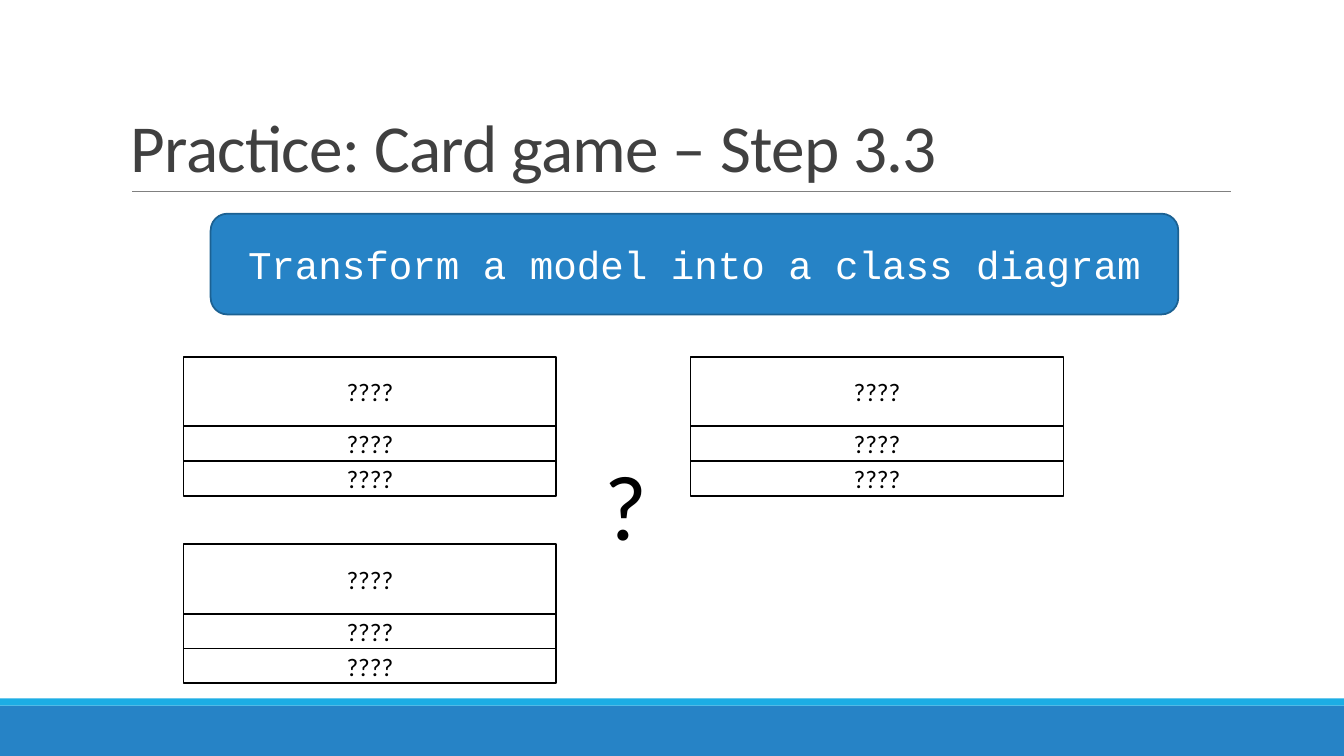
from pptx import Presentation
from pptx.dml.color import RGBColor
from pptx.enum.shapes import MSO_CONNECTOR, MSO_SHAPE
from pptx.enum.text import MSO_ANCHOR, PP_ALIGN
from pptx.oxml.ns import qn
from pptx.util import Inches, Pt
from lxml import etree

RECTANGLE = MSO_SHAPE.RECTANGLE
ROUNDED = MSO_SHAPE.ROUNDED_RECTANGLE
STRAIGHT = MSO_CONNECTOR.STRAIGHT
TOP, MIDDLE, BOTTOM = MSO_ANCHOR.TOP, MSO_ANCHOR.MIDDLE, MSO_ANCHOR.BOTTOM
LEFT, CENTER = PP_ALIGN.LEFT, PP_ALIGN.CENTER

BLACK = RGBColor(0x00, 0x00, 0x00)
WHITE = RGBColor(0xFF, 0xFF, 0xFF)
BLUE = RGBColor(0x26, 0x83, 0xC6)
DARK_BLUE = RGBColor(0x1C, 0x61, 0x92)
CYAN = RGBColor(0x1C, 0xAD, 0xE4)
CHARCOAL = RGBColor(0x40, 0x40, 0x40)
GRAY = RGBColor(0x80, 0x80, 0x80)

COLUMNS, ROWS = 40, 30


class SlideBuilder:
    body_font = "Calibri"
    code_font = "Courier New"
    outline_width = Pt(1.25)
    compartment_heights = (2.76, 1.38, 1.38)
    class_width = 11.1

    def __init__(self, presentation):
        self.slide = presentation.slides.add_slide(presentation.slide_layouts[6])
        self.column = presentation.slide_width / COLUMNS
        self.row = presentation.slide_height / ROWS

    def place(self, left, top, width, height):
        return (round(left * self.column), round(top * self.row),
                round(width * self.column), round(height * self.row))

    def label(self, shape, text, size, color, font=body_font,
              align=CENTER, anchor=MIDDLE, wrap=True):
        frame = shape.text_frame
        for name, value in {"word_wrap": wrap, "vertical_anchor": anchor}.items():
            setattr(frame, name, value)
        paragraph = frame.paragraphs[0]
        paragraph.alignment = align
        run = paragraph.add_run()
        run.text = text
        for name, value in {"name": font, "size": Pt(size)}.items():
            setattr(run.font, name, value)
        run.font.color.rgb = color
        return paragraph

    def box(self, area, fill, outline=None, kind=RECTANGLE):
        shape = self.slide.shapes.add_shape(kind, *self.place(*area))
        shape.shadow.inherit = False
        shape.fill.solid()
        shape.fill.fore_color.rgb = fill
        if outline is None:
            shape.line.fill.background()
        else:
            shape.line.color.rgb = outline
            shape.line.width = self.outline_width
        return shape

    def rule(self, left, right, top, color):
        start_x, y, length, _ = self.place(left, top, right - left, 0)
        connector = self.slide.shapes.add_connector(
            STRAIGHT, start_x, y, start_x + length, y)
        connector.line.color.rgb = color
        connector.line.width = Pt(0.5)
        etree.SubElement(connector._element.spPr, qn("a:effectLst"))

    def title(self, area, text):
        shape = self.slide.shapes.add_textbox(*self.place(*area))
        paragraph = self.label(shape, text, 48, CHARCOAL, align=LEFT, anchor=BOTTOM)
        paragraph.line_spacing = 0.85
        paragraph.runs[0].font._element.set("spc", "-50")

    def banner(self, area, text):
        shape = self.box(area, BLUE, DARK_BLUE, ROUNDED)
        self.label(shape, text, 28, WHITE, self.code_font)

    def class_box(self, left, top, texts):
        for text, height in zip(texts, self.compartment_heights):
            shape = self.box((left, top, self.class_width, height), WHITE, BLACK)
            self.label(shape, text, 18, BLACK)
            top += height

    def question(self, area, text):
        shape = self.box(area, WHITE)
        self.label(shape, text, 66, BLACK, align=LEFT, anchor=TOP, wrap=False)


def main():
    presentation = Presentation()
    presentation.slide_width = Inches(13.33)
    presentation.slide_height = Inches(7.5)

    builder = SlideBuilder(presentation)
    builder.box((0, 28, COLUMNS, 2), BLUE)
    builder.box((0, 27.72, COLUMNS, 0.28), CYAN)
    builder.rule(3.93, 36.63, 7.6, GRAY)
    builder.title((3.6, 1.24, 33, 6.36), "Practice: Card game – Step 3.3")
    builder.banner((6.27, 8.48, 28.8, 4), "Transform a model into a class diagram")
    for left, top in ((5.46, 14.16), (5.46, 21.6), (20.55, 14.16)):
        builder.class_box(left, top, ["????"] * 3)
    builder.question((17.7, 17.6, 2.25, 4.84), "?")

    presentation.save("out.pptx")


if __name__ == "__main__":
    main()
